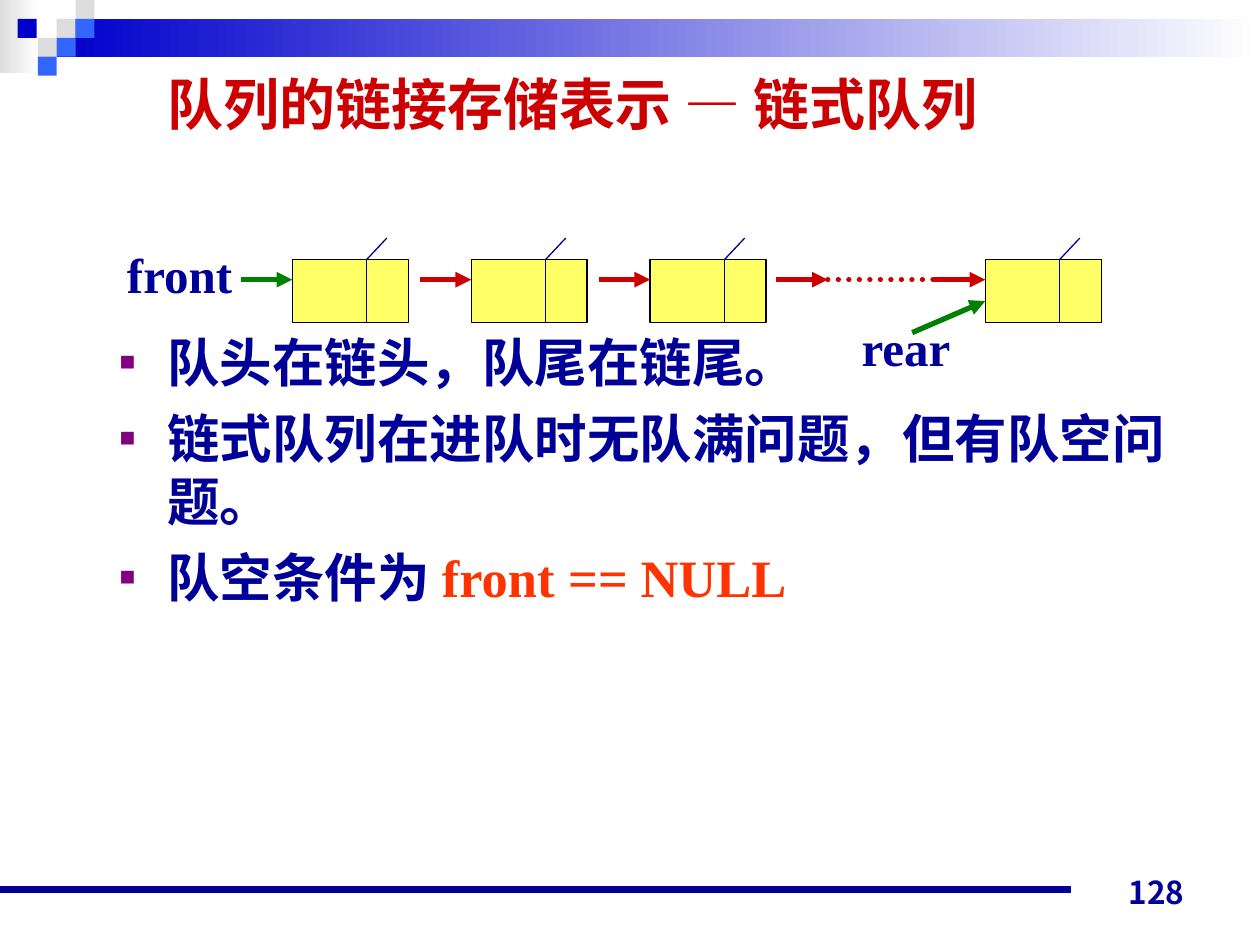
from lxml.etree import SubElement
from pptx import Presentation
from pptx.dml.color import RGBColor
from pptx.enum.dml import MSO_LINE
from pptx.enum.shapes import MSO_CONNECTOR, MSO_SHAPE
from pptx.enum.text import MSO_ANCHOR, PP_ALIGN
from pptx.oxml.ns import qn
from pptx.util import Inches, Pt

COLORS = {
    "navy": "000099", "blue": "0000CC", "sky": "3366FF", "gray": "DDDDDD",
    "white": "FFFFFF", "red": "CC0000", "orange": "FF3300", "green": "008000",
    "yellow": "FFFF66", "black": "000000", "purple": "800080",
}
SANS, CHINESE, SERIF = "Noto Sans CJK JP", "Noto Sans CJK SC", "Times New Roman"


class QueueSlide:
    """Draws styled elements on one slide."""

    def __init__(self, slide):
        self.slide = slide

    def color(self, name):
        return RGBColor.from_string(COLORS[name])

    def rectangle(self, left, top, width, height, fill, fade=None, outline=None):
        shape = self.slide.shapes.add_shape(
            MSO_SHAPE.RECTANGLE, Inches(left), Inches(top), Inches(width), Inches(height))
        shape.shadow.inherit = False
        if fade:
            shape.fill.gradient()
            shape.fill.gradient_angle = 0
            for stop, name, position in zip(shape.fill.gradient_stops, (fill, fade), (0, 1)):
                stop.color.rgb = self.color(name)
                stop.position = position
        else:
            shape.fill.solid()
            shape.fill.fore_color.rgb = self.color(fill)
        if outline:
            shape.line.color.rgb = self.color(outline)
            shape.line.width = Pt(0.75)
        else:
            shape.line.fill.background()

    def line(self, start, end, color, width=0.75, arrow=False, dotted=False):
        connector = self.slide.shapes.add_connector(
            MSO_CONNECTOR.STRAIGHT, *(Inches(value) for value in (*start, *end)))
        connector.line.color.rgb = self.color(color)
        connector.line.width = Pt(width)
        properties = connector._element.spPr
        outline = properties.find(qn("a:ln"))
        if dotted:
            connector.line.dash_style = MSO_LINE.ROUND_DOT
            outline.set("cap", "rnd")
        if arrow:
            SubElement(outline, qn("a:tailEnd"), type="triangle")
        SubElement(properties, qn("a:effectLst"))

    def style(self, font, typeface, size, color):
        font.name = typeface
        font.size = Pt(size)
        font.bold = True
        font.color.rgb = self.color(color)
        SubElement(font._element, qn("a:ea"), typeface=typeface)

    def run(self, paragraph, text, typeface, size, color, italic=None):
        run = paragraph.add_run()
        run.text = text
        self.style(run.font, typeface, size, color)
        run.font.italic = italic

    def text_box(self, left, top, width, height, wrap=True):
        box = self.slide.shapes.add_textbox(
            Inches(left), Inches(top), Inches(width), Inches(height))
        box.text_frame.word_wrap = wrap
        return box.text_frame

    def label(self, text, left, top, width, height, typeface=SERIF, size=28,
              align=PP_ALIGN.LEFT, anchor=MSO_ANCHOR.TOP, wrap=False):
        frame = self.text_box(left, top, width, height, wrap)
        frame.vertical_anchor = anchor
        paragraph = frame.paragraphs[0]
        paragraph.text = text
        paragraph.alignment = align
        self.style(paragraph.font, typeface, size, "navy")

    def title(self, runs):
        title = self.slide.shapes.title
        title.left, title.top = Inches(1.23), Inches(0.56)
        title.width, title.height = Inches(7.53), Inches(0.52)
        title.text_frame.vertical_anchor = MSO_ANCHOR.MIDDLE
        paragraph = title.text_frame.paragraphs[0]
        paragraph.alignment = PP_ALIGN.LEFT
        for text, typeface in runs:
            self.run(paragraph, text, typeface, 32, "red")

    def bullets(self, items):
        frame = self.text_box(0.85, 2.57, 8.65, 3.1)
        for index, runs in enumerate(items):
            paragraph = frame.add_paragraph() if index else frame.paragraphs[0]
            if index:
                paragraph.space_before = Pt(7.5)
            properties = paragraph._p.get_or_add_pPr()
            properties.set("marL", str(Inches(0.38)))
            properties.set("indent", str(-Inches(0.38)))
            bullet_color = SubElement(properties, qn("a:buClr"))
            SubElement(bullet_color, qn("a:srgbClr"), val=COLORS["purple"])
            SubElement(properties, qn("a:buSzPct"), val="50000")
            SubElement(properties, qn("a:buFont"), typeface=SERIF)
            SubElement(properties, qn("a:buChar"), char="■")
            for text, typeface, color, italic in runs:
                self.run(paragraph, text, typeface, 30, color, italic)

    def node(self, left):
        divider = left + 0.59
        self.rectangle(left, 2.06, 0.92, 0.5, "yellow", outline="black")
        self.line((divider, 2.06), (divider, 2.56), "navy")
        self.line((divider, 2.06), (divider + 0.16, 1.89), "navy")

    def pointer(self, tip, color):
        self.line((tip - 0.41, 2.22), (tip, 2.22), color, 3, arrow=True)


def main():
    presentation = Presentation()
    presentation.slide_width, presentation.slide_height = Inches(10), Inches(7.5)
    page = QueueSlide(presentation.slides.add_slide(presentation.slide_layouts[5]))

    page.rectangle(0, 0, 0.31, 0.58, "gray", fade="white")
    page.rectangle(0.45, 0.15, 9.55, 0.3, "blue", fade="white")
    for left, top, color in [
        (0.45, 0.15, "gray"), (0.6, 0, "gray"), (0.6, 0.15, "sky"), (0.3, 0.3, "gray"),
        (0.14, 0.15, "blue"), (0.45, 0.3, "sky"), (0.3, 0.45, "sky"),
    ]:
        page.rectangle(left, top, 0.15, 0.15, color)
    page.line((0, 7.06), (8.5, 7.06), "navy", 4.5)
    page.label("128", 7.17, 6.78, 2.33, 0.5, SANS, 18, PP_ALIGN.RIGHT,
               MSO_ANCHOR.BOTTOM, wrap=True)

    page.title([("队列的链接存储表示 ", SANS), ("— ", CHINESE), ("链式队列", SANS)])
    page.bullets([
        [("队头在链头，队尾在链尾。", CHINESE, "navy", None)],
        [("链式队列在进队时无队满问题，但有队空问题。", CHINESE, "navy", None)],
        [("队空条件为 ", CHINESE, "navy", None), ("front ", SERIF, "orange", None),
         ("==", SERIF, "orange", True), (" NULL", SERIF, "orange", None)],
    ])

    node_lefts = [2.32, 3.74, 5.16, 7.82]
    for left in node_lefts:
        page.node(left)
        page.pointer(left, "green" if left == node_lefts[0] else "red")
    page.pointer(6.57, "red")
    page.line((6.57, 2.22), (7.41, 2.22), "red", 3, dotted=True)
    page.label("front", 0.91, 1.89, 1.04, 0.57)
    page.label("rear", 6.74, 2.47, 0.91, 0.57)
    page.line((7.24, 2.64), (7.82, 2.39), "green", 3, arrow=True)
    presentation.save("out.pptx")


if __name__ == "__main__":
    main()
